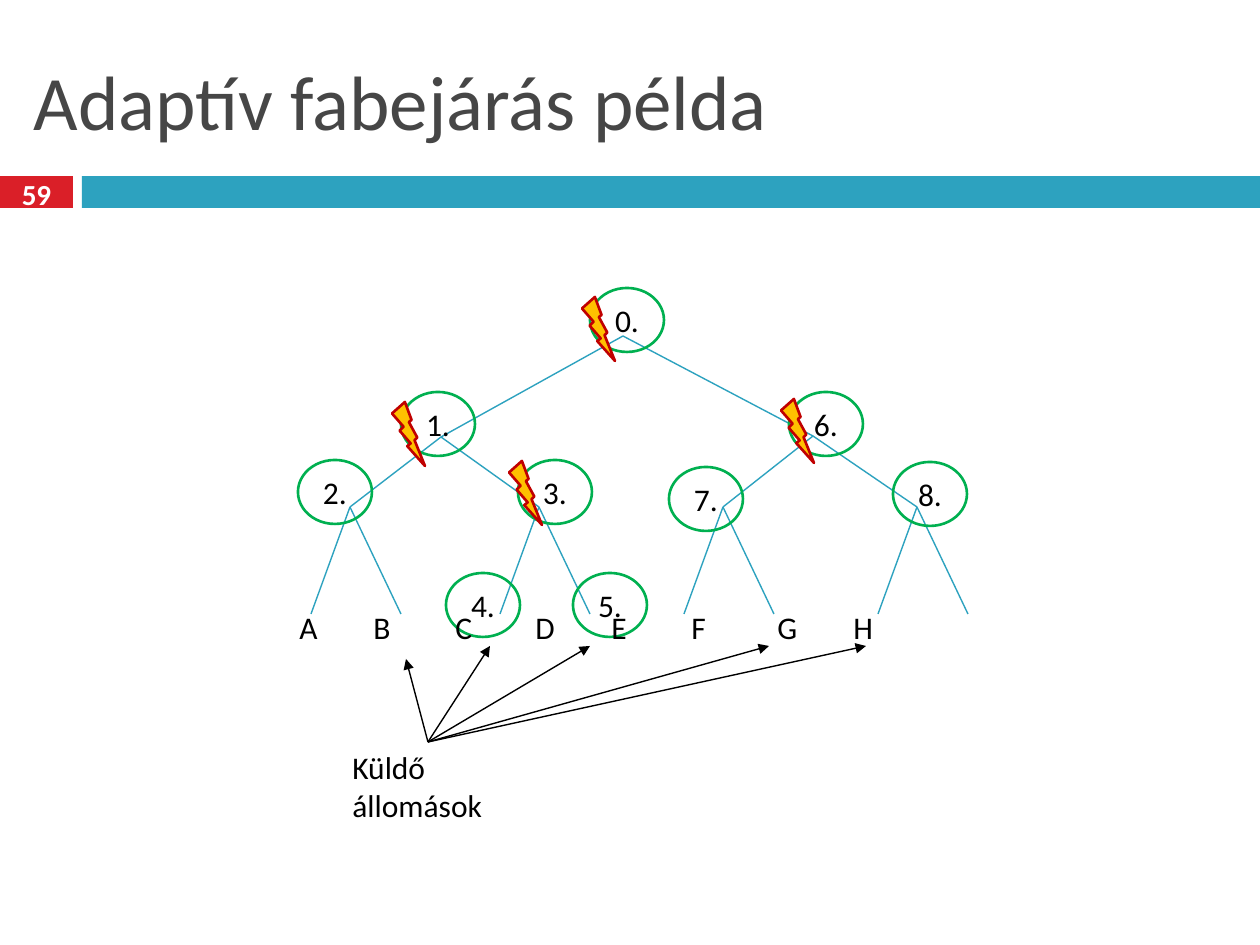
from lxml import etree
from pptx import Presentation
from pptx.dml.color import RGBColor
from pptx.enum import shapes, text
from pptx.oxml.ns import qn
from pptx.util import Pt

SCALE = 914400 / 126


def px(length):
    """Turn whole pixels into EMU."""
    return round(length * SCALE)


def colour(value):
    """Turn a hex string into a colour."""
    return RGBColor.from_string(value)


class Board:
    """Hold the style and the current slide."""

    font = "Calibri"
    ink = "000000"
    teal = "2DA2BF"
    thin = 0.79
    outline = 1.5

    def __init__(self, deck):
        """Start a slide with a title on the deck."""
        self.slide = deck.slides.add_slide(deck.slide_layouts[5])

    def fill_text(self, frame, words, size, ink, align, bold=False, tabs=()):
        """Put one styled paragraph in a text frame."""
        frame.text = words
        paragraph = frame.paragraphs[0]
        paragraph.alignment = align
        if tabs:
            stops = etree.SubElement(paragraph._p.get_or_add_pPr(), qn("a:tabLst"))
            for stop in tabs:
                etree.SubElement(stops, qn("a:tab"), pos=str(px(stop)), algn="l")
        font = paragraph.font
        font.name, font.size, font.bold = self.font, Pt(size), bold
        font.color.rgb = colour(ink)

    def title(self, words, left, top, width, height):
        """Place the slide title."""
        heading = self.slide.shapes.title
        heading.left, heading.top = px(left), px(top)
        heading.width, heading.height = px(width), px(height)
        frame = heading.text_frame
        frame.auto_size = text.MSO_AUTO_SIZE.NONE
        frame.vertical_anchor = text.MSO_ANCHOR.MIDDLE
        self.fill_text(frame, words, 44, "464646", text.PP_ALIGN.LEFT)

    def shape(self, preset, left, top, width, height, fill=None, line=None):
        """Add a preset shape without shadow."""
        figure = self.slide.shapes.add_shape(
            preset, px(left), px(top), px(width), px(height))
        figure.shadow.inherit = False
        if fill:
            figure.fill.solid()
            figure.fill.fore_color.rgb = colour(fill)
        else:
            figure.fill.background()
        if line:
            figure.line.color.rgb = colour(line)
            figure.line.width = Pt(self.outline)
        else:
            figure.line.fill.background()
        return figure

    def bar(self, left, top, width, height, fill):
        """Add a plain filled bar."""
        return self.shape(shapes.MSO_SHAPE.RECTANGLE, left, top, width, height, fill)

    def node(self, words, left, top):
        """Add a numbered ring."""
        ring = self.shape(shapes.MSO_SHAPE.OVAL, left, top, 74, 64, line="00B050")
        ring.text_frame.vertical_anchor = text.MSO_ANCHOR.MIDDLE
        self.fill_text(ring.text_frame, words, 18, self.ink, text.PP_ALIGN.CENTER)

    def bolt(self, left, top):
        """Add a collision sign."""
        self.shape(shapes.MSO_SHAPE.LIGHTNING_BOLT, left, top, 33, 64,
                   "FFC000", "C00000")

    def line(self, start, end, ink, arrow=False):
        """Draw a straight line, with an arrowhead if asked."""
        stroke = self.slide.shapes.add_connector(
            shapes.MSO_CONNECTOR.STRAIGHT, *map(px, start + end))
        stroke.line.color.rgb = colour(ink)
        stroke.line.width = Pt(self.thin)
        if arrow:
            etree.SubElement(stroke.line._get_or_add_ln(), qn("a:tailEnd"),
                             type="triangle")
        etree.SubElement(stroke._element.spPr, qn("a:effectLst"))

    def label(self, words, left, top, width, height, size=18, ink=ink,
              align=text.PP_ALIGN.LEFT, anchor=text.MSO_ANCHOR.TOP,
              bold=False, tabs=()):
        """Add a text box."""
        frame = self.slide.shapes.add_textbox(
            px(left), px(top), px(width), px(height)).text_frame
        frame.word_wrap = True
        frame.vertical_anchor = anchor
        self.fill_text(frame, words, size, ink, align, bold, tabs)


def main():
    """Build and save the slide."""
    deck = Presentation()
    deck.slide_width, deck.slide_height = px(1260), px(945)
    board = Board(deck)

    board.bar(0, 176, 73, 32, "DA1F28")
    board.bar(82, 176, 1178, 32, board.teal)
    board.title("Adaptív fabejárás példa", 21, 32, 1218, 136)
    board.label("59", 0, 173, 73, 42, 16.6, "FFFFFF", text.PP_ALIGN.CENTER,
                text.MSO_ANCHOR.MIDDLE, True)

    root = (623, 336)
    branches = {(441, 437): (350, 539), (813, 436): (723, 917)}
    for fork, twigs in branches.items():
        board.line(fork, root, board.teal)
        for x in twigs:
            board.line((x, 507), fork, board.teal)
            for offset in (-39, 51):
                board.line((x + offset, 614), (x, 507), board.teal)

    senders = [(406, 659), (490, 646), (590, 646), (769, 646), (866, 646)]
    for sender in senders:
        board.line((428, 742), sender, board.ink, arrow=True)
    board.label("Küldő\vállomások", 340, 742, 232, 87)

    nodes = [(590, 288), (401, 392), (298, 460), (518, 460), (446, 573),
             (573, 573), (789, 392), (669, 467), (893, 462)]
    for number, (left, top) in enumerate(nodes):
        board.node(f"{number}.", left, top)
    for left, top in [(582, 297), (392, 402), (509, 461), (781, 399)]:
        board.bolt(left, top)

    board.label("\t".join("ABCDEFGH"), 287, 602, 709, 50,
                tabs=(74, 156, 236, 312, 392, 478, 554))
    deck.save("out.pptx")


if __name__ == "__main__":
    main()
